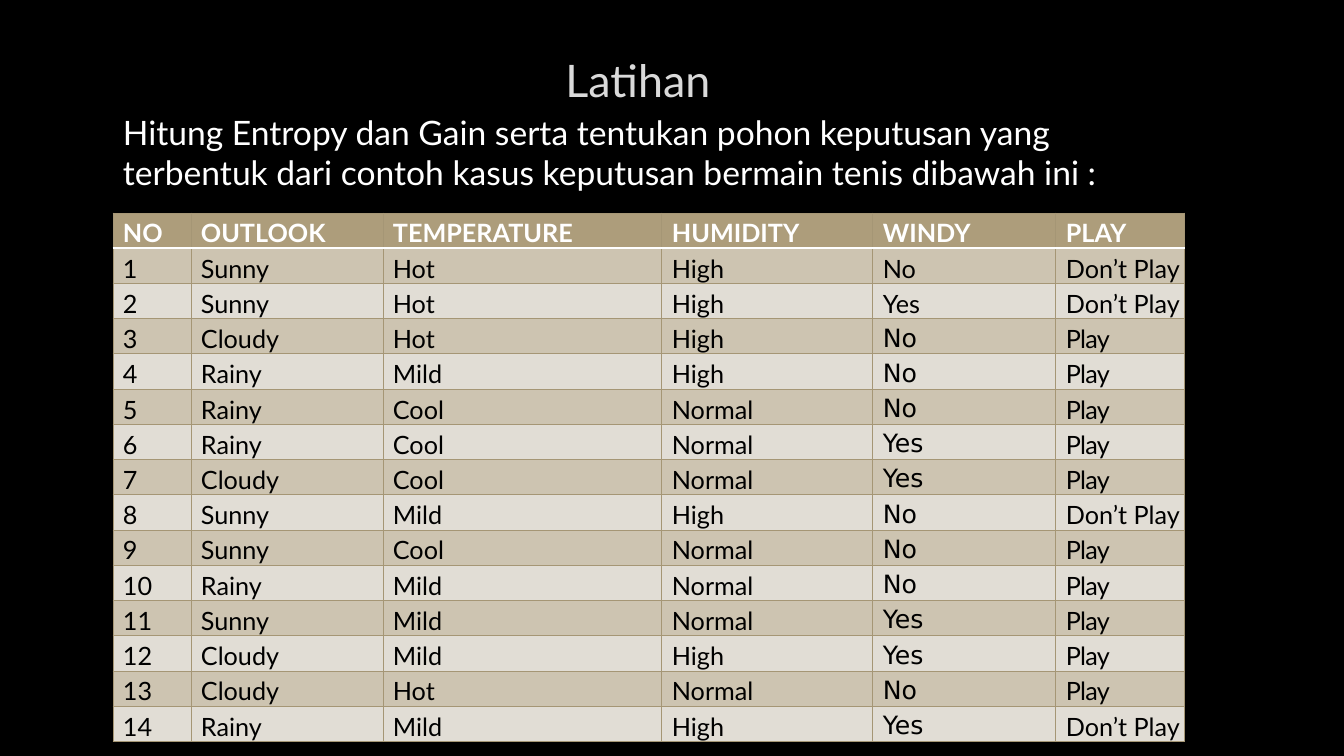
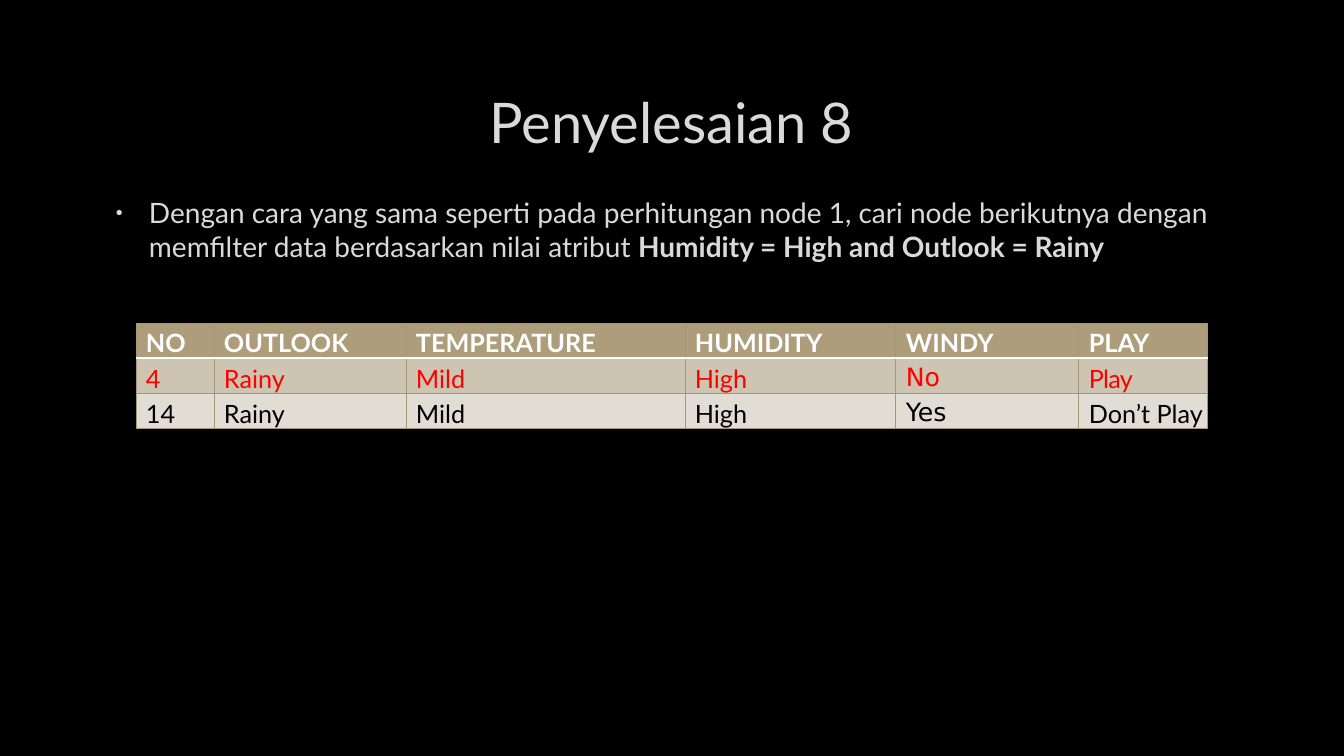
from pptx import Presentation
from pptx.dml.color import RGBColor
from pptx.enum.text import MSO_ANCHOR, PP_ALIGN
from pptx.oxml.ns import qn
from pptx.util import Emu, Pt
from lxml.etree import SubElement

SLIDE_WIDTH, SLIDE_HEIGHT = 1344, 756
EMU_PER_PX = 12192000 / SLIDE_WIDTH

BLACK, WHITE, RED = "000000", "FFFFFF", "FF0000"
SILVER = "DADADA"
HEADER_TAN, DARK_BAND, LIGHT_BAND = "AD9D7B", "CDC4B1", "E1DDD5"
GRID_LINE = "A59675"
MAIN_FONT, WINDY_FONT = "Lato", "DejaVu Sans"

COLUMN_WIDTHS = [78, 192, 279, 211, 183, 129]
ROW_HEIGHT = 35
HEADINGS = ["NO", "OUTLOOK", "TEMPERATURE", "HUMIDITY", "WINDY", "PLAY"]
WINDY_COLUMN = HEADINGS.index("WINDY")
OBSERVATIONS = [
    ("1", "Sunny", "Hot", "High", "No", "Don’t Play"),
    ("2", "Sunny", "Hot", "High", "Yes", "Don’t Play"),
    ("3", "Cloudy", "Hot", "High", "No", "Play"),
    ("4", "Rainy", "Mild", "High", "No", "Play"),
    ("5", "Rainy", "Cool", "Normal", "No", "Play"),
    ("6", "Rainy", "Cool", "Normal", "Yes", "Play"),
    ("7", "Cloudy", "Cool", "Normal", "Yes", "Play"),
    ("8", "Sunny", "Mild", "High", "No", "Don’t Play"),
    ("9", "Sunny", "Cool", "Normal", "No", "Play"),
    ("10", "Rainy", "Mild", "Normal", "No", "Play"),
    ("11", "Sunny", "Mild", "Normal", "Yes", "Play"),
    ("12", "Cloudy", "Mild", "High", "Yes", "Play"),
    ("13", "Cloudy", "Hot", "Normal", "No", "Play"),
    ("14", "Rainy", "Mild", "High", "Yes", "Don’t Play"),
]


def px(length):
    return Emu(round(length * EMU_PER_PX))


def rgb(value):
    return RGBColor.from_string(value)


def write(paragraph, text, size=18, color=BLACK, bold=False, font=MAIN_FONT, spacing=0):
    """Append a formatted run; spacing is in hundredths of a point."""
    run = paragraph.add_run()
    run.text = text
    run.font.name = font
    run.font.size = Pt(size)
    run.font.bold = bold
    run.font.color.rgb = rgb(color)
    if spacing:
        run.font._element.set("spc", str(spacing))


def set_bullet(paragraph, margin, indent, color, percent):
    properties = paragraph._p.get_or_add_pPr()
    properties.set("marL", str(px(margin)))
    properties.set("indent", str(px(indent)))
    bullet_color = SubElement(properties, qn("a:buClr"))
    SubElement(bullet_color, qn("a:srgbClr"), val=color)
    SubElement(properties, qn("a:buSzPct"), val=str(percent * 1000))
    SubElement(properties, qn("a:buFont"), typeface="Arial")
    SubElement(properties, qn("a:buChar"), char="•")


def set_border(cell, side, color, width):
    line = SubElement(cell._tc.get_or_add_tcPr(), qn(f"a:ln{side}"), w=str(Pt(width)))
    fill = SubElement(line, qn("a:solidFill"))
    SubElement(fill, qn("a:srgbClr"), val=color)


class Deck:
    def __init__(self):
        self.presentation = Presentation()
        self.presentation.slide_width = px(SLIDE_WIDTH)
        self.presentation.slide_height = px(SLIDE_HEIGHT)
        self.slide = None

    def new_slide(self):
        self.slide = self.presentation.slides.add_slide(self.presentation.slide_layouts[6])
        self.slide.background.fill.solid()
        self.slide.background.fill.fore_color.rgb = rgb(BLACK)

    def text_area(self, left, top, width, height, anchor=MSO_ANCHOR.TOP):
        """Add a wrapping text box and return its first paragraph."""
        area = self.slide.shapes.add_textbox(px(left), px(top), px(width), px(height))
        area.text_frame.word_wrap = True
        area.text_frame.vertical_anchor = anchor
        return area.text_frame.paragraphs[0]

    def title(self, text, left, top, width, height, size):
        heading = self.text_area(left, top, width, height, MSO_ANCHOR.MIDDLE)
        heading.alignment = PP_ALIGN.CENTER
        write(heading, text, size=size, color=SILVER)

    def paragraph(self, text, left, top, width, height):
        write(self.text_area(left, top, width, height), text, size=24, color=WHITE)

    def bullet(self, text, emphasis, left, top, width, height):
        item = self.text_area(left, top, width, height)
        set_bullet(item, 38, -33, SILVER, 70)
        write(item, text, size=20, color=SILVER)
        write(item, emphasis, size=20, color=SILVER, bold=True)

    def observation_table(self, observations, left, top, highlighted=()):
        """Draw the play table; highlighted holds the numbers of rows in red."""
        rows = [HEADINGS, *observations]
        table = self.slide.shapes.add_table(
            len(rows), len(HEADINGS), px(left), px(top),
            px(sum(COLUMN_WIDTHS)), px(ROW_HEIGHT * len(rows))).table
        table.horz_banding = False
        for column, width in zip(table.columns, COLUMN_WIDTHS):
            column.width = px(width)
        for row_index, values in enumerate(rows):
            table.rows[row_index].height = px(ROW_HEIGHT)
            color = RED if values[0] in highlighted else BLACK
            for column_index, value in enumerate(values):
                cell = table.cell(row_index, column_index)
                self.style_cell(cell, row_index)
                entry = cell.text_frame.paragraphs[0]
                if row_index == 0:
                    write(entry, value, color=WHITE, bold=True)
                else:
                    windy = column_index == WINDY_COLUMN and int(values[0]) > 2
                    write(entry, value, color=color,
                          font=WINDY_FONT if windy else MAIN_FONT,
                          spacing=-50 if value == "Play" else 0)

    def style_cell(self, cell, row_index):
        cell.margin_left, cell.margin_top = px(10), px(5)
        cell.margin_right = cell.margin_bottom = 0
        header_edge = {0: "B", 1: "T"}.get(row_index)
        for side in "LRTB":
            if side == header_edge:
                set_border(cell, side, WHITE, 1.25)
            else:
                set_border(cell, side, GRID_LINE, 0.75)
        band = DARK_BAND if row_index % 2 else LIGHT_BAND
        cell.fill.solid()
        cell.fill.fore_color.rgb = rgb(band if row_index else HEADER_TAN)


def main():
    deck = Deck()

    deck.new_slide()
    deck.title("Latihan", 113, 48, 1050, 64, size=32)
    deck.observation_table(OBSERVATIONS, 113, 213)
    deck.paragraph(
        "Hitung Entropy dan Gain serta tentukan pohon keputusan yang terbentuk "
        "dari contoh kasus keputusan bermain tenis dibawah ini :", 113, 107, 1072, 92)

    deck.new_slide()
    deck.title("Penyelesaian 8", 101, 68, 1141, 107, size=40)
    deck.bullet(
        "Dengan cara yang sama seperti pada perhitungan node 1, cari node berikutnya "
        "dengan memfilter data berdasarkan nilai atribut ",
        "Humidity = High and Outlook = Rainy", 101, 191, 1141, 448)
    rainy_and_humid = [row for row in OBSERVATIONS if row[1] == "Rainy" and row[3] == "High"]
    deck.observation_table(rainy_and_humid, 136, 323, highlighted=["4"])

    deck.presentation.save("out.pptx")


if __name__ == "__main__":
    main()
